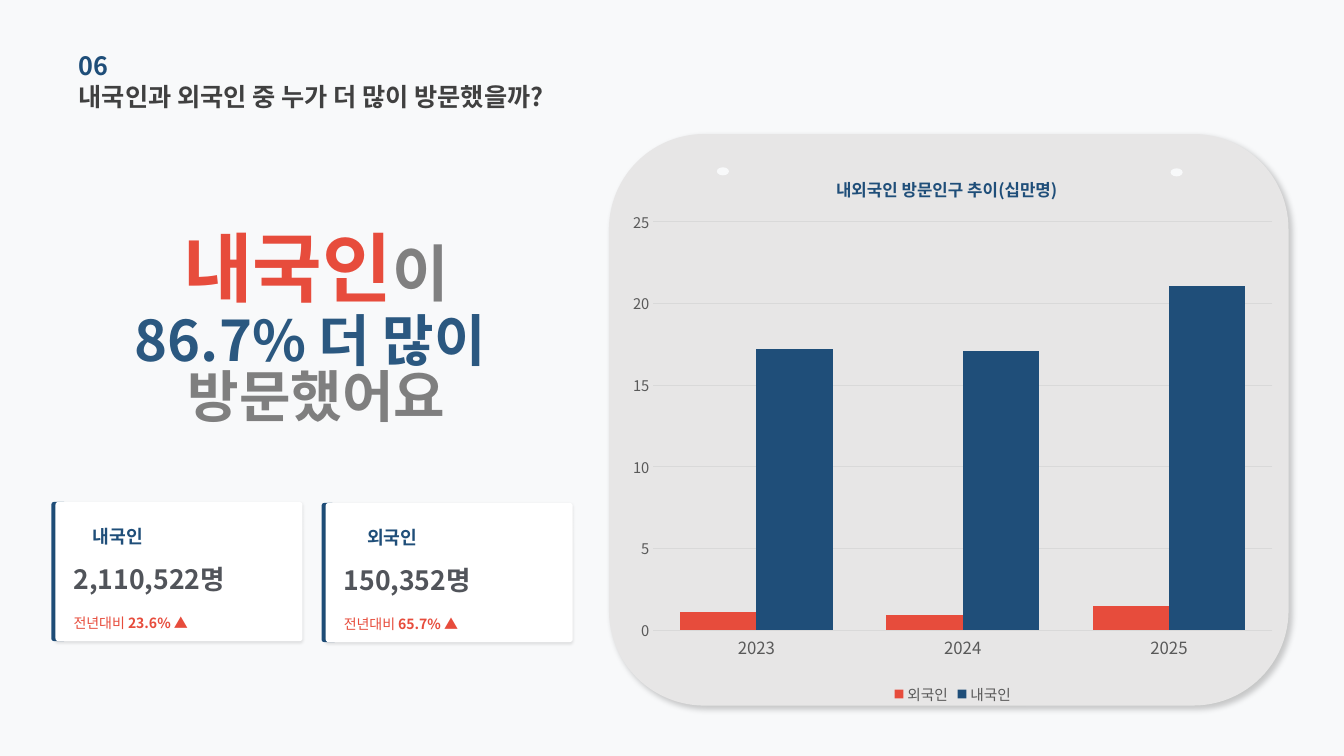
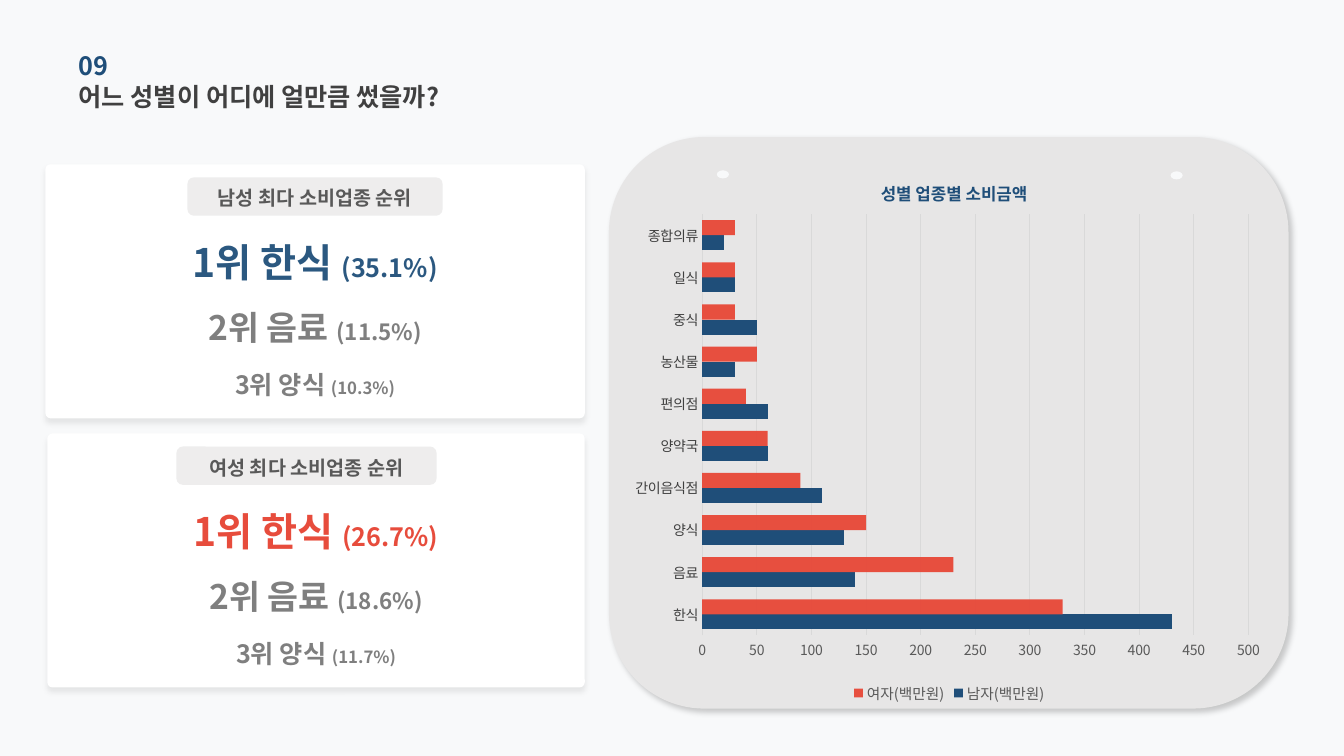
"""Build two slides on visitor numbers and on spending by gender."""
import lxml.etree
import pptx
import pptx.chart.data
import pptx.dml.color
import pptx.enum.chart
import pptx.enum.shapes
import pptx.enum.text
import pptx.oxml.ns
import pptx.util

FACE = "Noto Sans CJK KR"
HUES = {
    "back": "F8F9FA", "navy": "1F4E79", "blue": "2B5880", "red": "E74C3C",
    "panel": "E7E6E6", "white": "FFFFFF", "pill": "D0CECE", "grid": "D9D9D9",
    "dark": "404040", "slate": "51545A", "text": "595959", "gray": "7F7F7F",
    "mid": "808080", "black": "000000",
}


def node(top, tag, **attrs):
    """Add a child element with the given attributes."""
    item = lxml.etree.SubElement(top, pptx.oxml.ns.qn(tag))
    for key, val in attrs.items():
        item.set(key, str(val))
    return item


class Deck:
    """Hold the shared style and the current slide."""

    def __init__(self):
        """Start a wide deck with the shared background."""
        self.prs = pptx.Presentation()
        self.prs.slide_width = pptx.util.Inches(13.33)
        self.prs.slide_height = pptx.util.Inches(7.5)
        self.paint(self.prs.slide_master.background.fill, "back")

    def hue(self, name):
        """Return a named colour."""
        return pptx.dml.color.RGBColor.from_string(HUES[name])

    def paint(self, fill, name, alpha=100):
        """Fill with a named colour."""
        fill.solid()
        fill.fore_color.rgb = self.hue(name)
        if alpha < 100:
            tag = ".//" + pptx.oxml.ns.qn("a:srgbClr")
            node(fill._xPr.find(tag), "a:alpha", val=alpha * 1000)

    def font(self, font, size, name, bold=False, face=FACE):
        """Set size, colour, weight and face of a font."""
        font.size = pptx.util.Pt(size)
        font.bold = bold
        font.color.rgb = self.hue(name)
        font.name = face
        node(font._rPr, "a:ea", typeface=face)

    def put(self, frame, lines, mid=False, space=None):
        """Put in lines of runs, each run being text, size, colour, weight."""
        frame.word_wrap = True
        frame.auto_size = pptx.enum.text.MSO_AUTO_SIZE.NONE
        frame.vertical_anchor = pptx.enum.text.MSO_ANCHOR.MIDDLE
        frame.margin_left = frame.margin_right = 0
        frame.margin_top = frame.margin_bottom = 0
        align = pptx.enum.text.PP_ALIGN
        for num, runs in enumerate(lines):
            para = frame.add_paragraph() if num else frame.paragraphs[0]
            para.alignment = align.CENTER if mid else align.LEFT
            if space:
                para.line_spacing = space
            for text, size, name, bold in runs:
                run = para.add_run()
                run.text = text
                self.font(run.font, size, name, bold)

    def text(self, box, *lines, mid=False, space=None, home=None):
        """Add a text box."""
        shapes = (home or self.slide).shapes
        item = shapes.add_textbox(*map(pptx.util.Inches, box))
        self.put(item.text_frame, lines, mid, space)

    def shape(self, kind, box, name, alpha=100, curve=None, shade=None, home=None):
        """Add a preset shape, with a soft shadow if asked for."""
        shapes = (home or self.slide).shapes
        kind = getattr(pptx.enum.shapes.MSO_SHAPE, kind)
        item = shapes.add_shape(kind, *map(pptx.util.Inches, box))
        self.paint(item.fill, name, alpha)
        item.line.fill.background()
        item.shadow.inherit = False
        if curve is not None:
            item.adjustments[0] = curve
        if shade:
            dark, blur, dist, turn = shade
            fx = item._element.spPr.find(pptx.oxml.ns.qn("a:effectLst"))
            cast = node(fx, "a:outerShdw", blurRad=pptx.util.Pt(blur),
                        dist=pptx.util.Pt(dist), dir=turn * 60000,
                        algn="t", rotWithShape=0)
            tint = node(cast, "a:srgbClr", val=HUES["black"])
            node(tint, "a:alpha", val=dark * 1000)

    def page(self, num, title, top):
        """Start a slide with its number, title and chart panel."""
        self.slide = self.prs.slides.add_slide(self.prs.slide_layouts[5])
        head = self.slide.shapes.title
        head.left, head.top, head.width, head.height = map(
            pptx.util.Inches, (0.78, 0.75, 5.28, 0.41))
        self.put(head.text_frame, [[(title, 18, "dark", True)]])
        self.text((0.78, 0.44, 4.52, 0.41), [(num, 18, "navy", True)])
        self.shape("ROUNDED_RECTANGLE", (6.04, top, 6.74, 5.67), "panel",
                   shade=(20, 4, 3, 45))
        for x, drop in ((7.11, 0.33), (11.61, 0.34)):
            self.shape("OVAL", (x, top + drop, 0.12, 0.08), "back")

    def stat(self, x, y, inset, label, count, rise):
        """Add a card with a count and its yearly rise."""
        self.shape("ROUNDED_RECTANGLE", (x - 0.04, y, 0.15, 1.38), "navy")
        self.shape("ROUNDED_RECTANGLE", (x, y, 2.45, 1.38), "white",
                   curve=0.02, shade=(10, 2, 1, 90))
        self.text((x + inset, y + 0.2, 0.65, 0.28), [(label, 13, "navy", True)])
        self.text((x + 0.18, y + 0.57, 2.5, 0.39), [(count, 19, "slate", True)])
        self.text((x + 0.18, y + 0.97, 2.5, 0.45),
                  [("전년대비 ", 10, "red", False), (rise, 10, "red", True)])

    def rank(self, box, pill, label, name, shares):
        """Add a grouped card with the top three kinds of shop."""
        x, y, wide, tall = box
        left, span = pill
        home = self.slide.shapes.add_group_shape()
        self.shape("ROUNDED_RECTANGLE", box, "white", curve=0.02,
                   shade=(8, 4, 3, 90), home=home)
        rows = (
            ("1위 한식 ", 28, 18, name, 0.73, 0.48),
            ("2위 음료 ", 24, 16, "gray", 1.19, 0.84),
            ("3위 양식 ", 18, 12, "gray", 1.76, 0.84),
        )
        for (text, big, small, hue, drop, high), share in zip(rows, shares):
            self.text((x, y + drop, wide, high),
                      [(text, big, hue, True), (share, small, hue, True)],
                      mid=True, home=home)
        self.shape("ROUNDED_RECTANGLE", (left, y + 0.13, span, 0.38), "pill",
                   alpha=36, home=home)
        self.text((left + 0.1, y + 0.13, span - 0.2, 0.41),
                  [(label, 14, "text", True)], mid=True, home=home)

    def place(self, top, inner=False, **spots):
        """Give a chart part a fixed place."""
        old = top.find(pptx.oxml.ns.qn("c:layout"))
        if old is None:
            old = node(top, "c:layout")
            after = top.find(pptx.oxml.ns.qn("c:tx"))
            if after is None:
                top.insert(0, old)
            else:
                after.addnext(old)
        form = node(old, "c:manualLayout")
        if inner:
            node(form, "c:layoutTarget", val="inner")
        for key in "xy":
            node(form, f"c:{key}Mode", val="edge")
        for key, val in spots.items():
            node(form, f"c:{key}", val=val)

    def chart(self, kind, box, title, spot, area, cats, rows, gap, axes):
        """Add a bar chart with title, legend and light grid."""
        data = pptx.chart.data.CategoryChartData()
        data.categories = cats
        for label, vals, *_ in rows:
            data.add_series(label, vals)
        enum = pptx.enum.chart
        chart = self.slide.shapes.add_chart(
            getattr(enum.XL_CHART_TYPE, kind),
            *map(pptx.util.Inches, box), data).chart
        self.font(chart.font, 10, "black", face="Calibri")
        space = chart._chartSpace
        look = node(space, "c:spPr")
        node(look, "a:noFill")
        node(node(look, "a:ln"), "a:noFill")
        space.find(pptx.oxml.ns.qn("c:chart")).addnext(look)

        chart.has_title = True
        run = chart.chart_title.text_frame.paragraphs[0].add_run()
        run.text = title
        self.font(run.font, 12, "navy", True)
        self.place(chart.chart_title._element, x=spot[0], y=spot[1])
        plot = chart.plots[0]
        self.place(plot._element.getparent(), True, **dict(zip("xywh", area)))

        chart.has_legend = True
        chart.legend.position = enum.XL_LEGEND_POSITION.BOTTOM
        chart.legend.include_in_layout = False
        self.font(chart.legend.font, 10.5, "text")

        plot.gap_width = gap
        plot.overlap = 0
        plot.vary_by_categories = False
        for part, (_, _, name, alpha) in zip(plot.series, rows):
            self.paint(part.format.fill, name, alpha)

        size, hue, small, top, step = axes
        cat, val = chart.category_axis, chart.value_axis
        for axis in (cat, val):
            axis.major_tick_mark = enum.XL_TICK_MARK.NONE
            axis.minor_tick_mark = enum.XL_TICK_MARK.NONE
        self.font(cat.tick_labels.font, size, hue)
        self.font(val.tick_labels.font, small, "text")
        val.minimum_scale, val.maximum_scale, val.major_unit = 0, top, step
        val.has_major_gridlines = True
        val.format.line.fill.background()
        for line in (cat.format.line, val.major_gridlines.format.line):
            line.color.rgb = self.hue("grid")
            line.width = pptx.util.Pt(0.75)


def main():
    """Build and save the deck."""
    deck = Deck()
    deck.page("06", "내국인과 외국인 중 누가 더 많이 방문했을까?", 1.33)
    deck.text((0.99, 2.4, 4.29, 0.48),
              [("내국인", 54, "red", True), ("이", 44, "mid", True)], mid=True)
    deck.text((0.38, 3.28, 5.52, 0.84),
              [("86.7% 더 많이 ", 40, "blue", True)],
              [("방문했어요", 40, "gray", True)], mid=True, space=0.83)
    deck.stat(0.55, 4.98, 0.37, "내국인", "2,110,522명", "23.6% ▲")
    deck.stat(3.23, 4.99, 0.41, "외국인", "150,352명", "65.7% ▲")
    deck.chart("COLUMN_CLUSTERED", (6.15, 1.48, 6.6, 5.55),
               "내외국인 방문인구 추이(십만명)", (0.32, 0.04),
               (0.05, 0.13, 0.93, 0.73), ["2023", "2024", "2025"],
               [("외국인", (1.1, 0.9, 1.5), "red", 100),
                ("내국인", (17.2, 17.1, 21.1), "navy", 100)],
               70, (12, "text", 10.5, 25, 5))

    deck.page("09", "어느 성별이 어디에 얼만큼 썼을까?", 1.36)
    deck.rank((0.45, 1.63, 5.35, 2.52), (1.86, 2.53), "남성 최다 소비업종 순위",
              "blue", ("(35.1%)", "(11.5%)", "(10.3%)"))
    deck.rank((0.47, 4.3, 5.33, 2.52), (1.75, 2.58), "여성 최다 소비업종 순위",
              "red", ("(26.7%)", "(18.6%)", "(11.7%)"))
    deck.chart("BAR_CLUSTERED", (6.19, 1.52, 6.45, 5.5),
               "성별 업종별 소비금액", (0.39, 0.04), (0.12, 0.11, 0.84, 0.76),
               ["한식", "음료", "양식", "간이음식점", "양약국",
                "편의점", "농산물", "중식", "일식", "종합의류"],
               [("남자(백만원)", (430, 140, 130, 110, 60, 60, 30, 50, 30, 20),
                 "navy", 100),
                ("여자(백만원)", (330, 230, 150, 90, 60, 40, 50, 30, 30, 30),
                 "red", 98)],
               80, (10, "dark", 10, 500, 50))
    deck.prs.save("out.pptx")


if __name__ == "__main__":
    main()
